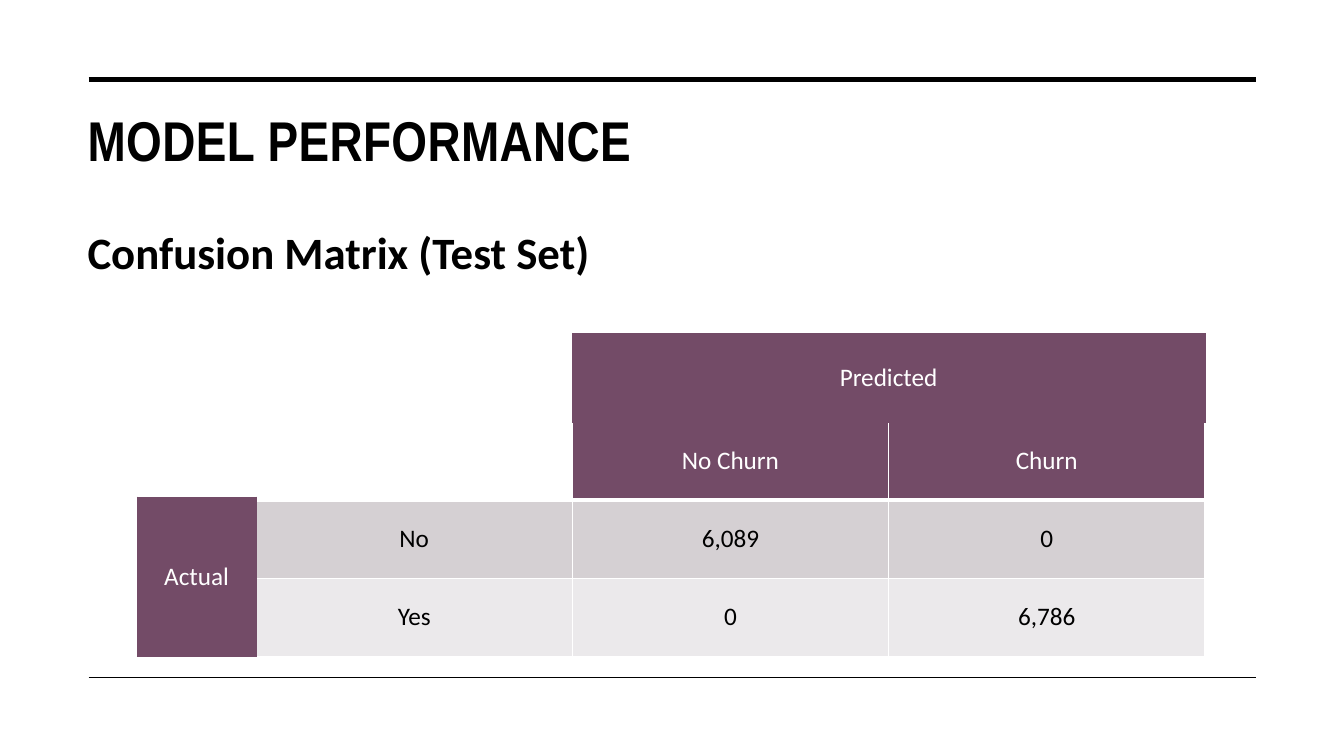
from dataclasses import dataclass

from lxml.etree import SubElement
from pptx import Presentation
from pptx.dml.color import RGBColor
from pptx.enum.shapes import MSO_CONNECTOR
from pptx.enum.text import MSO_ANCHOR, PP_ALIGN
from pptx.oxml.ns import qn
from pptx.util import Inches, Pt


@dataclass(frozen=True)
class Theme:
    ink: str = "000000"
    paper: str = "FFFFFF"
    plum: str = "734B67"
    no_band: str = "D5D0D3"
    yes_band: str = "EBE9EB"
    title_font: str = "Arial Narrow"
    body_font: str = "Calibri"
    title_size: int = 40
    subtitle_size: int = 32
    cell_size: int = 18


THEME = Theme()
TITLE = {"name": THEME.title_font, "size": Pt(THEME.title_size), "bold": True}
SUBTITLE = {"name": THEME.body_font, "size": Pt(THEME.subtitle_size), "bold": True}
CELL = {"name": THEME.body_font, "size": Pt(THEME.cell_size), "bold": False}
CENTRED = {"vertical_anchor": MSO_ANCHOR.MIDDLE}
PLAIN_TABLE = {"first_row": False, "horz_banding": False}


def apply_format(target, values):
    for attribute, value in values.items():
        setattr(target, attribute, value)


def write_run(paragraph, wording, font_format, color):
    run = paragraph.add_run()
    run.text = wording
    apply_format(run.font, font_format)
    run.font.color.rgb = RGBColor.from_string(color)
    return run


def add_rule(slide, left, top, width, weight):
    rule = slide.shapes.add_connector(
        MSO_CONNECTOR.STRAIGHT,
        Inches(left), Inches(top), Inches(left + width), Inches(top),
    )
    rule.line.color.rgb = RGBColor.from_string(THEME.ink)
    rule.line.width = Pt(weight)
    SubElement(rule._element.spPr, qn("a:effectLst"))


def add_frame(slide, left, top, width, height):
    add_rule(slide, left, top, width, 3.5)
    add_rule(slide, left, top + height, width, 1)


def add_heading(slide, box, wording, font_format):
    heading = slide.shapes.add_textbox(*map(Inches, box)).text_frame
    heading.word_wrap = True
    return write_run(heading.paragraphs[0], wording, font_format, THEME.ink)


def set_borders(cell, color, weights):
    properties = cell._tc.get_or_add_tcPr()
    for side, weight in zip("LRTB", weights):
        border = SubElement(properties, qn(f"a:ln{side}"), w=str(Pt(weight)))
        fill = SubElement(border, qn("a:solidFill"))
        SubElement(fill, qn("a:srgbClr"), val=color)


def fill_cell(cell, wording, fill, color, border, weights):
    set_borders(cell, border, weights)
    cell.fill.solid()
    cell.fill.fore_color.rgb = RGBColor.from_string(fill)
    apply_format(cell, CENTRED)
    paragraph = cell.text_frame.paragraphs[0]
    paragraph.alignment = PP_ALIGN.CENTER
    write_run(paragraph, wording, CELL, color)


def add_grid(slide, left, top, width, height, rows, columns):
    grid = slide.shapes.add_table(
        rows, columns, Inches(left), Inches(top), Inches(width), Inches(height)
    ).table
    apply_format(grid, PLAIN_TABLE)
    return grid


def add_axis_label(slide, box, wording):
    label = add_grid(slide, *box, 1, 1)
    fill_cell(label.cell(0, 0), wording, THEME.plum, THEME.paper, THEME.plum, (0.5,) * 4)


def add_counts(slide, box):
    counts = [
        ("", "No Churn", "Churn"),
        ("No", "6,089", "0"),
        ("Yes", "0", "6,786"),
    ]
    bands = [THEME.plum, THEME.no_band, THEME.yes_band]
    grid = add_grid(slide, *box, len(counts), len(counts[0]))
    for row, (entries, band) in enumerate(zip(counts, bands)):
        color = THEME.ink if row else THEME.paper
        weights = (1, 1, 3 if row == 1 else 1, 1 if row else 3)
        for column, entry in enumerate(entries):
            fill = band if entry else THEME.paper
            fill_cell(grid.cell(row, column), entry, fill, color, THEME.paper, weights)


def add_confusion_matrix(slide, left, top, width, height):
    actual_width, predicted_height = 1.18, 0.88
    counts_left, counts_top = left + actual_width, top + predicted_height
    counts_width, counts_height = width - actual_width, height - predicted_height
    column_width, actual_height = counts_width / 3, 1.58
    add_counts(slide, (counts_left, counts_top, counts_width, counts_height))
    add_axis_label(
        slide, (left, top + height - actual_height, actual_width, actual_height), "Actual"
    )
    add_axis_label(
        slide,
        (counts_left + column_width, top, 2 * column_width, predicted_height),
        "Predicted",
    )


def build_performance_slide(deck):
    slide = deck.slides.add_slide(deck.slide_layouts[6])
    add_frame(slide, 0.88, 0.79, 11.58, 5.93)
    title = add_heading(slide, (0.77, 1, 11.69, 1.43), "MODEL PERFORMANCE", TITLE)
    title._r.get_or_add_rPr().set("spc", "30")
    add_confusion_matrix(slide, 1.36, 3.31, 10.59, 3.2)
    add_heading(slide, (0.77, 2.18, 6.66, 0.94), "Confusion Matrix (Test Set)", SUBTITLE)


def main():
    deck = Presentation()
    apply_format(deck, {"slide_width": Inches(13.33), "slide_height": Inches(7.5)})
    build_performance_slide(deck)
    deck.save("out.pptx")


if __name__ == "__main__":
    main()
